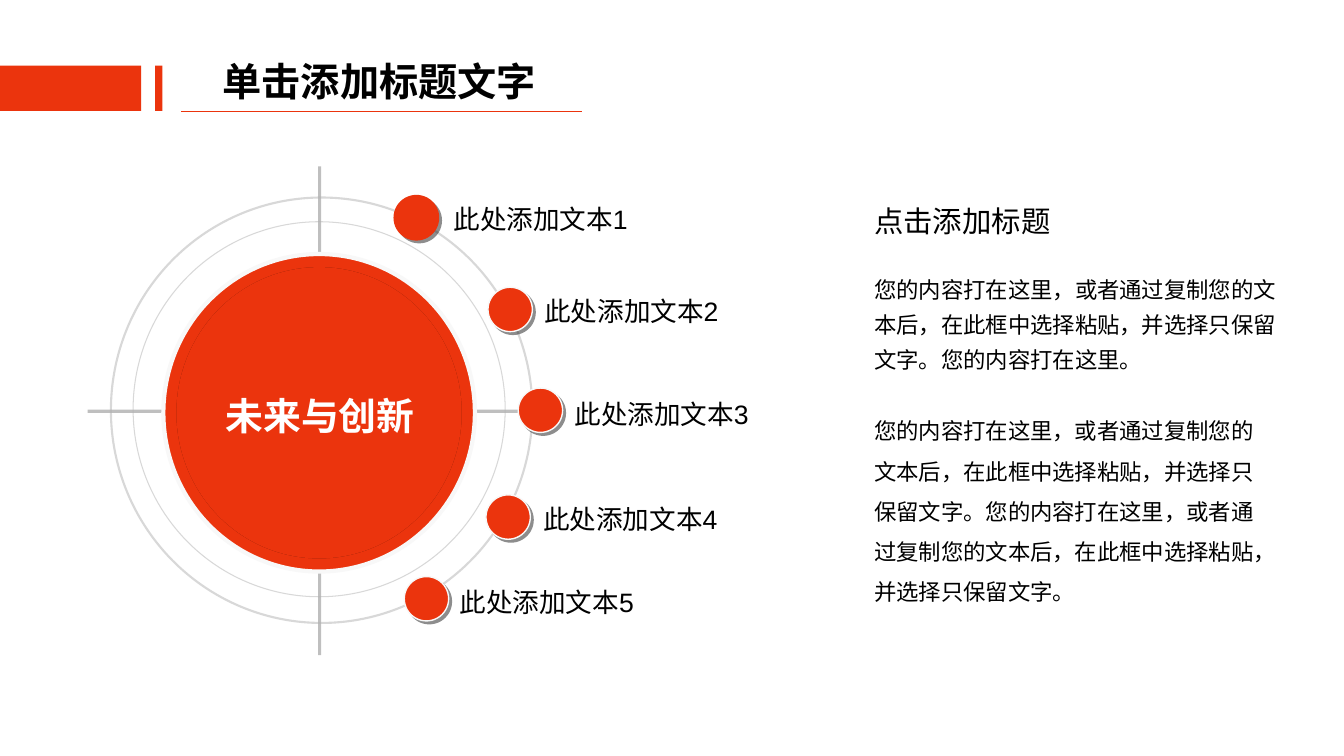
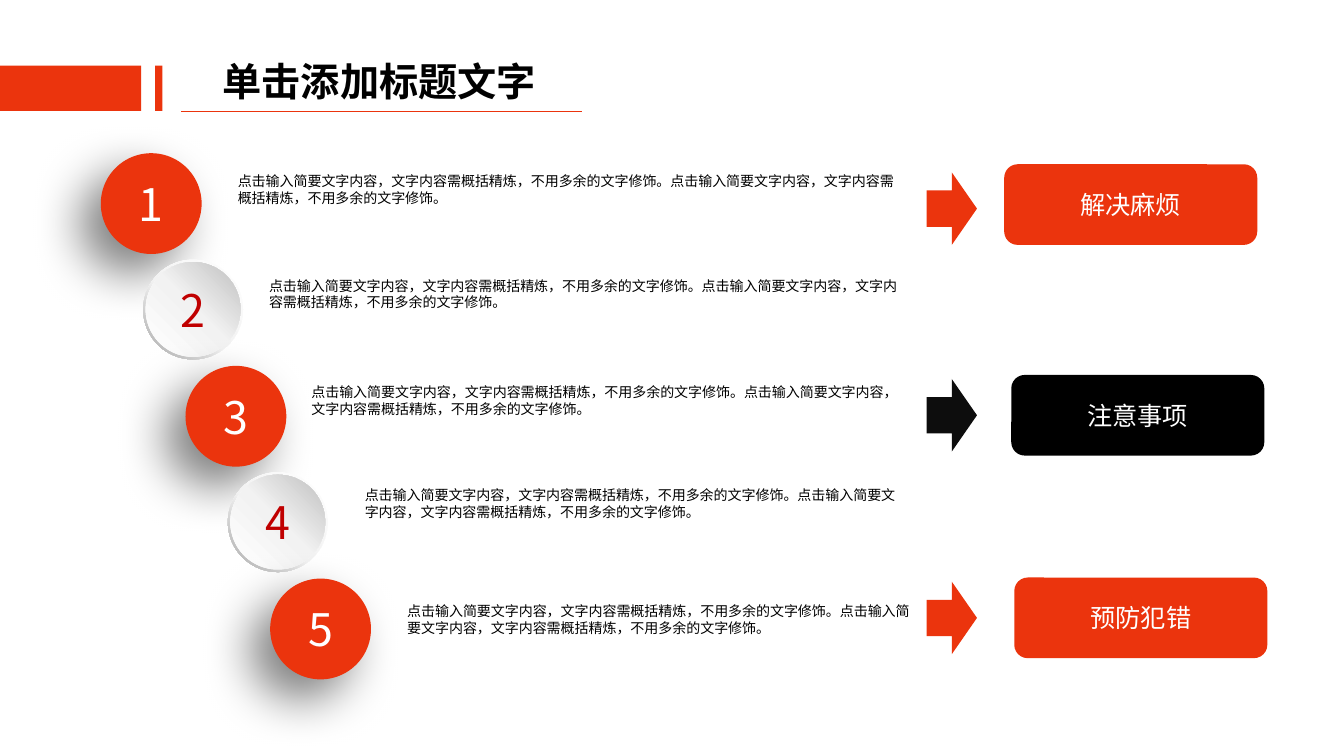
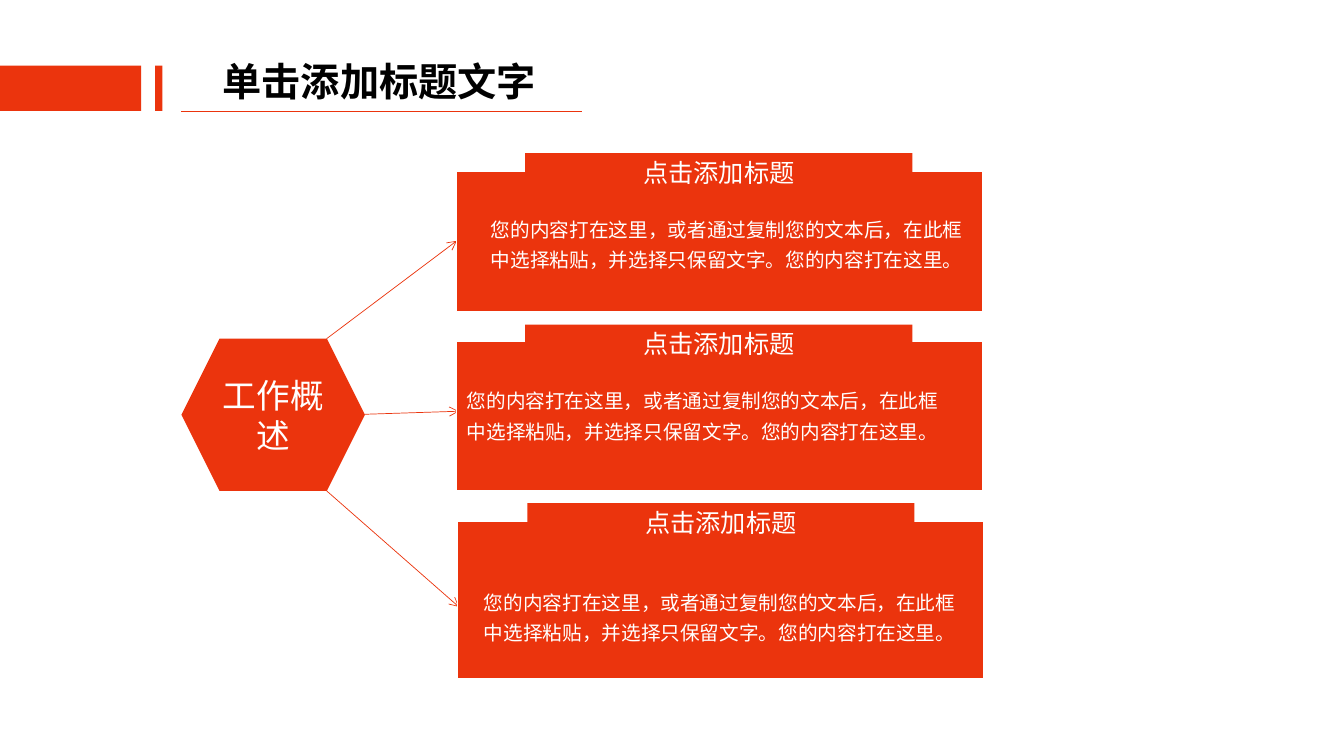
from dataclasses import dataclass
from typing import NamedTuple

from lxml.etree import SubElement
from pptx import Presentation
from pptx.dml.color import RGBColor
from pptx.enum.shapes import MSO_CONNECTOR as Connector, MSO_SHAPE as Preset
from pptx.enum.text import MSO_ANCHOR as Anchor, MSO_AUTO_SIZE as AutoSize, PP_ALIGN as Align
from pptx.oxml.ns import qn
from pptx.util import Inches, Pt

RED, BLACK, WHITE = "EB340D", "000000", "FFFFFF"
OFF_WHITE, CRIMSON = "F8F8F8", "C00000"
CJK, LATIN = "Noto Sans CJK SC", "Arial"
WIDE_INSETS = (0.11, 0.05)
TIGHT_INSETS = (0.08, 0.04)
SUBTITLE = "点击添加标题"
PASTE_HINT = "您的内容打在这里，或者通过复制您的文本后，在此框中选择粘贴，并选择只保留文字。"
PASTE_TEXT = PASTE_HINT + "您的内容打在这里。"
LONG_PASTE_TEXT = PASTE_HINT + PASTE_HINT
STEP_TEXT = "点击输入简要文字内容，文字内容需概括精炼，不用多余的文字修饰。" * 2


class Box(NamedTuple):
    left: float
    top: float
    width: float
    height: float

    def inset(self, margin):
        return Box(self.left + margin, self.top + margin,
                   self.width - 2 * margin, self.height - 2 * margin)


class Shadow(NamedTuple):
    color: str
    blur: float
    distance: float
    angle: int


class Gradient(NamedTuple):
    stops: tuple
    angle: int


class Outline(NamedTuple):
    color: str
    width: float
    opacity: int = 100


@dataclass
class Text:
    content: str
    size: float
    color: str = BLACK
    font: str = CJK
    bold: bool = False
    align: Align = Align.LEFT
    anchor: Anchor = Anchor.TOP
    spacing: float = 1.0
    insets: tuple = (0.1, 0.05)
    wrap: bool = True


@dataclass
class Satellite:
    """A small ball on the ring with its label."""
    ball_left: float
    ball_top: float
    label_left: float
    label_top: float
    rim: str = OFF_WHITE


@dataclass
class Outcome:
    label: str
    button_left: float
    button_top: float
    arrow_top: float
    button_color: str = RED
    arrow_color: str = RED


@dataclass
class Panel:
    body: Box
    tab_left: float
    tab_top: float
    text_left: float
    text_top: float


BALL_SHADOW = Shadow("1C1C1C", 0, 2.8, 45)
STEP_SHADOW = Shadow(BLACK, 35, 20, 135)
CORE_SHADOW = Shadow(BLACK, 0, 0, 0)
RIM_GRADIENT = Gradient(((0, "FFFFFF"), (55, "F2F2F2"), (100, "A6A6A6")), 135)
FACE_GRADIENT = Gradient(((0, "FFFFFF"), (51, "F2F2F2"), (100, "BFBFBF")), 315)

SATELLITES = [
    Satellite(3.91, 1.94, 4.39, 1.96, RED),
    Satellite(4.84, 2.85, 5.29, 2.87),
    Satellite(5.14, 3.85, 5.59, 3.89),
    Satellite(4.82, 4.91, 5.28, 4.93),
    Satellite(4.01, 5.72, 4.45, 5.76),
]
STEP_TEXT_BOXES = [
    Box(2.26, 1.66, 6.82, 0.44),
    Box(2.57, 2.7, 6.51, 0.44),
    Box(2.99, 3.76, 5.97, 0.44),
    Box(3.52, 4.78, 5.56, 0.44),
    Box(3.94, 5.93, 5.25, 0.44),
]
OUTCOMES = [
    Outcome("解决麻烦", 9.96, 1.63, 1.71),
    Outcome("注意事项", 10.03, 3.72, 3.76, BLACK, "0D0D0D"),
    Outcome("预防犯错", 10.06, 5.73, 5.77),
]
PANELS = [
    Panel(Box(4.53, 1.7, 5.22, 1.39), 5.21, 1.52, 4.79, 2.05),
    Panel(Box(4.53, 3.39, 5.22, 1.48), 5.21, 3.22, 4.55, 3.75),
    Panel(Box(4.54, 5.17, 5.22, 1.56), 5.23, 4.99, 4.72, 5.75),
]
BRANCHES = [
    ((3.24, 3.36), (4.53, 2.39)),
    ((3.62, 4.11), (4.55, 4.08)),
    ((3.24, 4.87), (4.55, 6.02)),
]


def rgb(color: str) -> RGBColor:
    return RGBColor.from_string(color)


def set_all(target, values: dict) -> None:
    for name, value in values.items():
        setattr(target, name, value)


def add_color(parent, color: str, opacity: int = 100) -> None:
    element = SubElement(parent, qn("a:srgbClr"), val=color)
    if opacity < 100:
        SubElement(element, qn("a:alpha"), val=str(opacity * 1000))


def set_outline(line, outline: Outline) -> None:
    line.width = Pt(outline.width)
    line.color.rgb = rgb(outline.color)
    if outline.opacity < 100:
        color = line.fill._xPr.find(qn("a:solidFill"))[0]
        SubElement(color, qn("a:alpha"), val=str(outline.opacity * 1000))


def set_gradient(shape, gradient: Gradient) -> None:
    shape.fill.gradient()
    fill = shape._element.spPr.find(qn("a:gradFill"))
    for child in list(fill):
        fill.remove(child)
    stops = SubElement(fill, qn("a:gsLst"))
    for position, color in gradient.stops:
        add_color(SubElement(stops, qn("a:gs"), pos=str(position * 1000)), color)
    SubElement(fill, qn("a:lin"), ang=str(gradient.angle * 60000), scaled="0")


def set_shadow(shape, shadow: Shadow) -> None:
    effects = shape._element.spPr.find(qn("a:effectLst"))
    outer = SubElement(effects, qn("a:outerShdw"), blurRad=str(Pt(shadow.blur)),
                       dist=str(Pt(shadow.distance)), dir=str(shadow.angle * 60000),
                       algn="ctr", rotWithShape="0")
    add_color(outer, shadow.color, 50)


def write(shape, text: Text) -> None:
    frame = shape.text_frame
    side, edge = map(Inches, text.insets)
    set_all(frame, {"word_wrap": text.wrap, "vertical_anchor": text.anchor,
                    "margin_left": side, "margin_right": side,
                    "margin_top": edge, "margin_bottom": edge})
    paragraph = frame.paragraphs[0]
    set_all(paragraph, {"alignment": text.align, "line_spacing": text.spacing})
    run = paragraph.add_run()
    run.text = text.content
    set_all(run.font, {"name": text.font, "size": Pt(text.size), "bold": text.bold})
    run.font.color.rgb = rgb(text.color)
    SubElement(run.font._element, qn("a:ea"), typeface=CJK)


def add_text(slide, box: Box, text: Text) -> None:
    shape = slide.shapes.add_textbox(*map(Inches, box))
    write(shape, text)
    shape.text_frame.auto_size = AutoSize.SHAPE_TO_FIT_TEXT


def add_shape(slide, preset: Preset, box: Box, fill: str | Gradient | None = RED,
              outline: Outline | None = None, shadow: Shadow | None = None,
              text: Text | None = None):
    shape = slide.shapes.add_shape(preset, *map(Inches, box))
    shape.shadow.inherit = False
    if isinstance(fill, Gradient):
        set_gradient(shape, fill)
    elif fill:
        shape.fill.solid()
        shape.fill.fore_color.rgb = rgb(fill)
    else:
        shape.fill.background()
    if outline:
        set_outline(shape.line, outline)
    else:
        shape.line.fill.background()
    if shadow:
        set_shadow(shape, shadow)
    if text:
        write(shape, text)
    return shape


def add_line(slide, start: tuple, end: tuple, outline: Outline, arrow: bool = False) -> None:
    line = slide.shapes.add_connector(Connector.STRAIGHT, *map(Inches, start + end))
    set_outline(line.line, outline)
    if arrow:
        SubElement(line.line._get_or_add_ln(), qn("a:tailEnd"), type="arrow")
    SubElement(line._element.spPr, qn("a:effectLst"))


def centred(content: str, size: float, color: str = WHITE, **options) -> Text:
    return Text(content, size, color, align=Align.CENTER, anchor=Anchor.MIDDLE, **options)


def add_titled_slide(presentation):
    slide = presentation.slides.add_slide(presentation.slide_layouts[6])
    for left, width in ((1.54, 0.07), (0, 1.4)):
        add_shape(slide, Preset.RECTANGLE, Box(left, 0.65, width, 0.45))
    add_text(slide, Box(2.11, 0.52, 3.34, 0.57),
             Text("单击添加标题文字", 28, bold=True, wrap=False))
    add_line(slide, (1.8, 1.1), (5.77, 1.1), Outline(RED, 0.5))
    return slide


def build_orbit_slide(presentation) -> None:
    slide = add_titled_slide(presentation)
    for start, end in (((0.87, 4.08), (5.48, 4.08)), ((3.17, 1.65), (3.17, 6.5))):
        add_line(slide, start, end, Outline("808080", 2.25, 50))
    for ring, width in ((Box(1.32, 2.2, 3.69, 3.72), 0.75), (Box(1.1, 1.96, 4.18, 4.22), 1.5)):
        add_shape(slide, Preset.OVAL, ring, None, Outline("B2B2B2", width, 50))

    core = Box(1.62, 2.52, 3.09, 3.15)
    add_shape(slide, Preset.OVAL, core, outline=Outline(OFF_WHITE, 3))
    add_shape(slide, Preset.OVAL, core.inset(0.13), shadow=CORE_SHADOW)
    add_shape(slide, Preset.OVAL, Box(2.27, 3.2, 1.81, 1.85),
              text=centred("未来与创新", 27, font=LATIN, bold=True, wrap=False))

    for number, satellite in enumerate(SATELLITES, 1):
        ball = Box(satellite.ball_left, satellite.ball_top, 0.44, 0.44)
        add_shape(slide, Preset.OVAL, ball, outline=Outline(satellite.rim, 1), shadow=BALL_SHADOW)
        add_shape(slide, Preset.OVAL, ball.inset(0.035))
        add_text(slide, Box(satellite.label_left, satellite.label_top, 2.7, 0.43),
                 Text(f"此处添加文本{number}", 19, font=LATIN, anchor=Anchor.MIDDLE,
                      insets=WIDE_INSETS))

    for box, content, size, spacing in (
        (Box(8.56, 2.61, 4.41, 1.51), PASTE_TEXT, 16, 1.3),
        (Box(8.56, 3.96, 4.2, 2.53), LONG_PASTE_TEXT, 16, 1.5),
        (Box(8.56, 1.97, 2.1, 0.46), SUBTITLE, 21, 1.0),
    ):
        add_text(slide, box, Text(content, size, spacing=spacing, insets=WIDE_INSETS))


def build_steps_slide(presentation) -> None:
    slide = add_titled_slide(presentation)
    for index, text_box in enumerate(STEP_TEXT_BOXES):
        left, top, number = 1 + 0.42 * index, 1.52 + 1.055 * index, str(index + 1)
        if index % 2 == 0:
            add_shape(slide, Preset.OVAL, Box(left, top, 1, 1), shadow=STEP_SHADOW,
                      text=centred(number, 32))
        else:
            rim = Box(left, top, 0.99, 0.99)
            donut = add_shape(slide, Preset.DONUT, rim, RIM_GRADIENT)
            donut.adjustments[0] = 0.05
            add_shape(slide, Preset.OVAL, rim.inset(0.025), FACE_GRADIENT,
                      text=centred(number, 32, CRIMSON))
        add_text(slide, text_box, Text(STEP_TEXT, 10))

    for outcome in OUTCOMES:
        add_shape(slide, Preset.RIGHT_ARROW, Box(9.19, outcome.arrow_top, 0.5, 0.72),
                  outcome.arrow_color)
        button = Box(outcome.button_left, outcome.button_top, 2.51, 0.8)
        add_shape(slide, Preset.ROUNDED_RECTANGLE, button, outcome.button_color)
        add_shape(slide, Preset.ROUNDED_RECTANGLE, button.inset(0.03), outcome.button_color,
                  text=centred(outcome.label, 18))


def build_overview_slide(presentation) -> None:
    slide = add_titled_slide(presentation)
    add_shape(slide, Preset.HEXAGON, Box(1.8, 3.36, 1.82, 1.51),
              text=centred("工作概述", 24, insets=TIGHT_INSETS))
    for start, end in BRANCHES:
        add_line(slide, start, end, Outline(RED, 0.5), arrow=True)
    for panel in PANELS:
        add_shape(slide, Preset.RECTANGLE, panel.body, outline=Outline(WHITE, 1))
        add_shape(slide, Preset.RECTANGLE, Box(panel.tab_left, panel.tab_top, 3.84, 0.38),
                  text=centred(SUBTITLE, 18, insets=TIGHT_INSETS))
        add_text(slide, Box(panel.text_left, panel.text_top, 4.96, 0.66),
                 Text(PASTE_TEXT, 14, WHITE, spacing=1.3, insets=TIGHT_INSETS))


def main() -> None:
    presentation = Presentation()
    set_all(presentation, {"slide_width": Inches(13.33), "slide_height": Inches(7.5)})
    build_orbit_slide(presentation)
    build_steps_slide(presentation)
    build_overview_slide(presentation)
    presentation.save("out.pptx")


if __name__ == "__main__":
    main()
